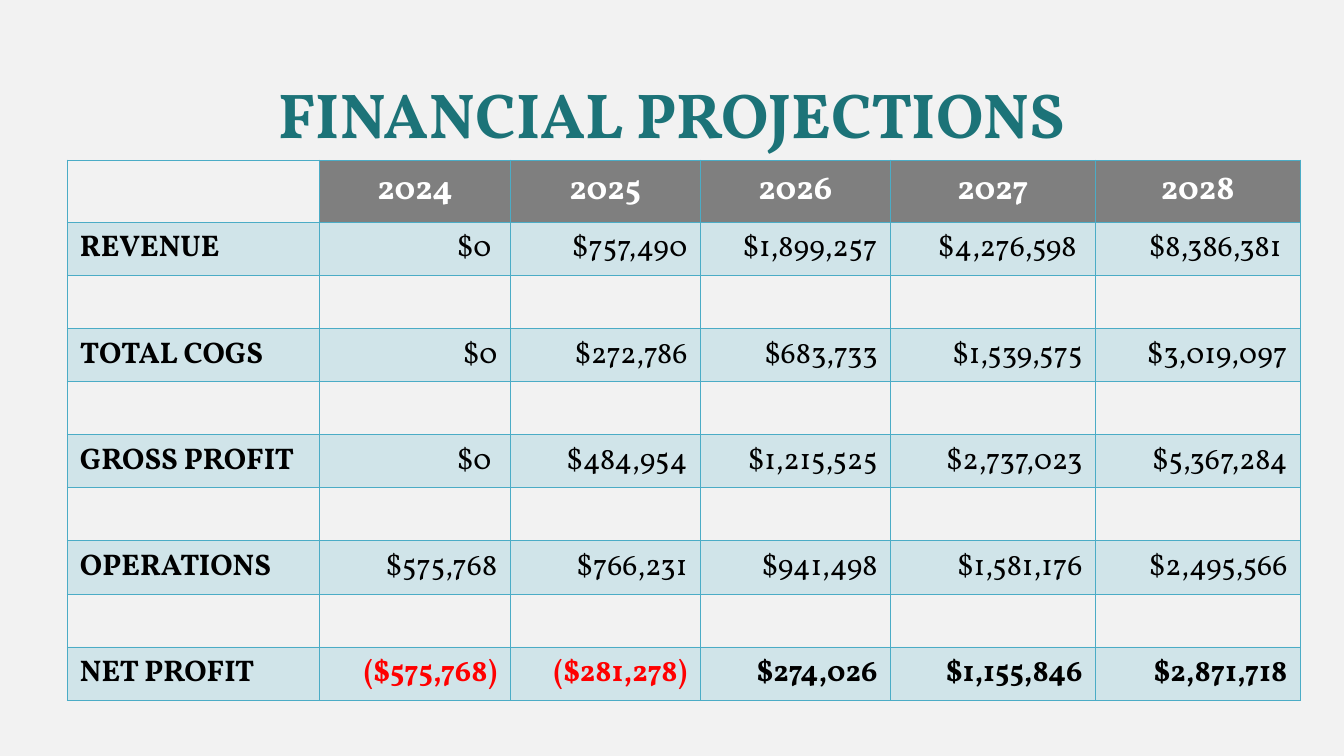
"""Build the financial projections slide."""
from dataclasses import dataclass

from lxml.etree import SubElement
from pptx import Presentation
from pptx.dml.color import RGBColor
from pptx.enum.text import MSO_ANCHOR, MSO_AUTO_SIZE, PP_ALIGN
from pptx.oxml.ns import qn
from pptx.util import Emu, Pt

EMU_PER_PX = 9144
FONT = "Vollkorn"
COLORS = {
    "background": "F2F2F2",
    "title": "1C7378",
    "header": "7F7F7F",
    "white": "FFFFFF",
    "black": "000000",
    "loss": "FF0000",
    "accent": "4BACC6",
}
BAND_ALPHA = 20
COLUMN_WIDTHS = [376, 283, 283, 283, 305, 305]
HEADER_HEIGHT, ROW_HEIGHT = 93, 79
YEARS = ["2024", "2025", "2026", "2027", "2028"]


@dataclass
class Account:
    label: str
    amounts: list[str]
    bold: bool = False


ACCOUNTS = [
    Account("REVENUE", ["$0 ", "$757,490", "$1,899,257", "$4,276,598 ", "$8,386,381 "]),
    Account("TOTAL COGS", ["$0", "$272,786", "$683,733", "$1,539,575", "$3,019,097"]),
    Account("GROSS PROFIT", ["$0 ", "$484,954", "$1,215,525", "$2,737,023", "$5,367,284"]),
    Account("OPERATIONS", ["$575,768", "$766,231", "$941,498", "$1,581,176", "$2,495,566"]),
    Account("NET PROFIT", ["($575,768)", "($281,278)", "$274,026", "$1,155,846", "$2,871,718"], True),
]


def px(length: int) -> Emu:
    return Emu(length * EMU_PER_PX)


def color(name: str) -> RGBColor:
    return RGBColor.from_string(COLORS[name])


def write(frame, text: str, size: int, shade: str, align: PP_ALIGN, bold: bool) -> None:
    frame.text = text
    para = frame.paragraphs[0]
    para.alignment = align
    font = para.runs[0].font
    font.name, font.size, font.bold = FONT, Pt(size), bold
    font.color.rgb = color(shade)


def add_title(page, text: str) -> None:
    title = page.shapes.title
    title.left, title.top, title.width, title.height = px(0), px(84), px(2000), px(143)
    frame = title.text_frame
    frame.margin_left = frame.margin_right = frame.margin_top = frame.margin_bottom = 0
    frame.word_wrap = True
    frame.vertical_anchor = MSO_ANCHOR.TOP
    frame.auto_size = MSO_AUTO_SIZE.SHAPE_TO_FIT_TEXT
    write(frame, text, 68, "title", PP_ALIGN.CENTER, True)
    frame.paragraphs[0].line_spacing = 1.25


def add_borders(cell, top: int, bottom: int) -> None:
    properties = cell._tc.get_or_add_tcPr()
    for side, points in {"lnL": 1, "lnR": 1, "lnT": top, "lnB": bottom}.items():
        line = SubElement(properties, qn(f"a:{side}"), w=str(Pt(points)))
        fill = SubElement(line, qn("a:solidFill"))
        SubElement(fill, qn("a:srgbClr"), val=COLORS["accent"])


def fill_cell(cell, shade: str, alpha: int = 100) -> None:
    cell.fill.solid()
    cell.fill.fore_color.rgb = color(shade)
    if alpha < 100:
        value = cell._tc.tcPr.find(qn("a:solidFill")).find(qn("a:srgbClr"))
        SubElement(value, qn("a:alpha"), val=str(alpha * 1000))


def write_cell(cell, text: str, size: int, shade: str, align: PP_ALIGN, bold: bool) -> None:
    cell.margin_left = cell.margin_right = px(19)
    cell.margin_top = cell.margin_bottom = px(9)
    cell.vertical_anchor = MSO_ANCHOR.MIDDLE
    write(cell.text_frame, text, size, shade, align, bold)


def add_account(table, row: int, account: Account) -> None:
    write_cell(table.cell(row, 0), account.label, 32, "black", PP_ALIGN.LEFT, True)
    for column, amount in enumerate(account.amounts, 1):
        shade = "loss" if amount.startswith("(") else "black"
        write_cell(table.cell(row, column), amount, 32, shade, PP_ALIGN.RIGHT, account.bold)
    for column in range(len(COLUMN_WIDTHS)):
        fill_cell(table.cell(row, column), "accent", BAND_ALPHA)


def add_projections(page) -> None:
    heights = [HEADER_HEIGHT] + [ROW_HEIGHT] * (2 * len(ACCOUNTS) - 1)
    table = page.shapes.add_table(
        len(heights), len(COLUMN_WIDTHS),
        px(100), px(238), px(sum(COLUMN_WIDTHS)), px(sum(heights)),
    ).table
    table.first_row = table.horz_banding = False
    for column, width in zip(table.columns, COLUMN_WIDTHS):
        column.width = px(width)
    for index, (row, height) in enumerate(zip(table.rows, heights)):
        row.height = px(height)
        for cell in row.cells:
            add_borders(cell, 2 if index == 1 else 1, 2 if index == 0 else 1)
            cell.fill.background()
    for column, year in enumerate(YEARS, 1):
        cell = table.cell(0, column)
        write_cell(cell, year, 36, "white", PP_ALIGN.CENTER, True)
        fill_cell(cell, "header")
    for index, account in enumerate(ACCOUNTS):
        add_account(table, 2 * index + 1, account)


def main() -> None:
    deck = Presentation()
    deck.slide_width, deck.slide_height = px(2000), px(1125)
    page = deck.slides.add_slide(deck.slide_layouts[5])
    page.background.fill.solid()
    page.background.fill.fore_color.rgb = color("background")
    add_title(page, "FINANCIAL PROJECTIONS")
    add_projections(page)
    deck.save("out.pptx")


if __name__ == "__main__":
    main()
